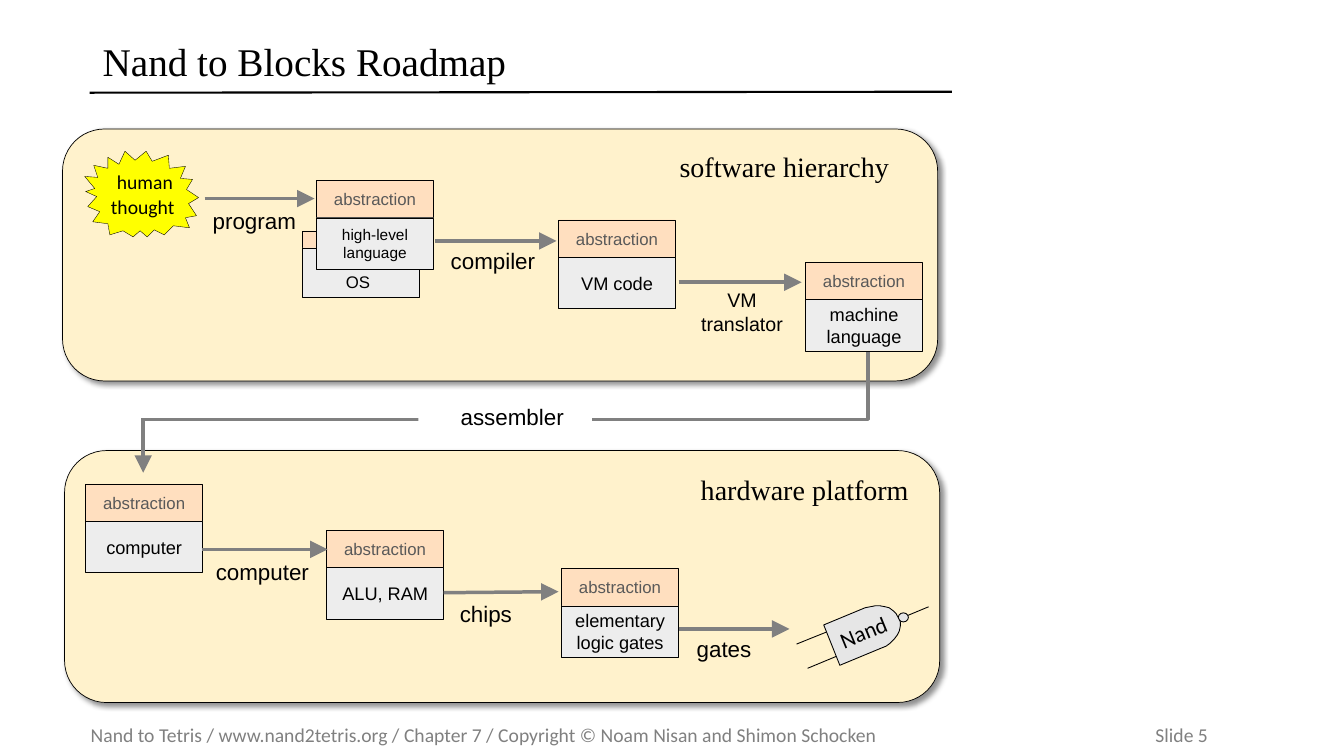
from dataclasses import dataclass

from lxml import etree
from pptx import Presentation
from pptx.dml.color import RGBColor
from pptx.enum.shapes import MSO_CONNECTOR, MSO_SHAPE
from pptx.enum.text import MSO_ANCHOR, PP_ALIGN
from pptx.oxml import parse_xml
from pptx.oxml.ns import nsdecls, qn
from pptx.util import Inches, Pt

RECTANGLE = MSO_SHAPE.RECTANGLE
ROUNDED = MSO_SHAPE.ROUNDED_RECTANGLE
OVAL = MSO_SHAPE.OVAL
STRAIGHT = MSO_CONNECTOR.STRAIGHT
LEFT, CENTER = PP_ALIGN.LEFT, PP_ALIGN.CENTER
TOP, MIDDLE = MSO_ANCHOR.TOP, MSO_ANCHOR.MIDDLE
BLACK, GRAY, PEACH, SILVER = "000000", "808080", "FFDFBF", "EDEDED"
GATE_FILL, GATE_LINE, GATE_ANGLE = "E6E6E6", 0.63, 337.6
SERIF, SANS, HUMANIST = "Times New Roman", "Arial", "Calibri"
CARD_WIDTH, HEADER_HEIGHT, BODY_HEIGHT = 1.16, 0.37, 0.51
NO_INSETS = (0, 0, 0, 0)
BODY_INSETS = (0, 0.05, 0, 0.05)
HEADER_INSETS = (0.1, 0.05, 0.1, 0.05)

Point = tuple[float, float]
Area = tuple[float, float, float, float]


@dataclass
class Style:
    size: float
    font: str = SANS
    color: str = BLACK
    align: PP_ALIGN = LEFT
    anchor: MSO_ANCHOR = TOP
    insets: Area = NO_INSETS
    wrap: bool = True
    spacing: float = 1.0


@dataclass
class Label:
    text: str
    area: Area
    style: Style


@dataclass
class Card:
    left: float
    top: float
    text: str
    size: float = 13


@dataclass
class Stroke:
    start: Point
    end: Point
    color: str = GRAY
    width: float = 2.5
    arrow: bool = True


STEP = Style(16)
HEADING = Style(20, SERIF, wrap=False)
THOUGHT = Style(14, HUMANIST, wrap=False)
HEADER = Style(12, SANS, "595959", CENTER, MIDDLE, HEADER_INSETS)

PANELS = [(0.64, 4.47, 8.68, 2.5), (0.62, 1.28, 8.68, 2.5)]
CARDS = [
    Card(5.54, 2.18, "VM code"),
    Card(7.99, 2.6, "machine language"),
    Card(0.85, 4.8, "computer"),
    Card(3.24, 5.26, "ALU, RAM"),
    Card(5.57, 5.64, "elementary logic gates"),
    Card(3.14, 1.79, "high-level\vlanguage", 11),
]
ARROWS = [
    Stroke((6.73, 2.8), (7.95, 2.8)),
    Stroke((4.31, 2.39), (5.52, 2.39)),
    Stroke((2.03, 1.97), (3.12, 1.97)),
    Stroke((4.4, 5.88), (5.54, 5.87)),
    Stroke((6.73, 6.24), (7.83, 6.24)),
    Stroke((2, 5.45), (3.25, 5.45)),
    Stroke((1.42, 4.15), (1.42, 4.69)),
]
GATE_WIRES = [
    Stroke(start, end, BLACK, GATE_LINE, False)
    for start, end in [
        ((7.9, 6.39), (8.67, 6.08)),
        ((8.01, 6.63), (8.78, 6.31)),
        ((9.21, 6.02), (8.44, 6.34)),
    ]
]
LABELS = [
    Label("Nand to Blocks Roadmap", (0.92, 0.32, 8.53, 0.63),
          Style(28, SERIF, anchor=MIDDLE, insets=HEADER_INSETS, spacing=0.9)),
    Label("hardware platform", (6.95, 4.69, 2.08, 0.34), HEADING),
    Label("software hierarchy", (6.74, 1.48, 2.09, 0.34), HEADING),
    Label("human", (1.16, 1.69, 0.56, 0.24), THOUGHT),
    Label("thought", (1.1, 1.93, 0.64, 0.24), THOUGHT),
    Label("program", (2.11, 2.06, 0.88, 0.27), STEP),
    Label("compiler", (4.47, 2.45, 0.88, 0.27), STEP),
    Label("computer", (2.14, 5.54, 1.02, 0.27), STEP),
    Label("chips", (4.56, 5.95, 0.88, 0.27), STEP),
    Label("gates", (6.91, 6.3, 0.88, 0.27), STEP),
    Label("VM translator", (6.84, 2.86, 1.04, 0.47), Style(14, align=CENTER)),
]
BURST = [
    (0.94, 1.87), (0.85, 1.9), (0.96, 1.95), (0.87, 2.05), (0.99, 2.1), (0.92, 2.2),
    (1.07, 2.22), (1.09, 2.33), (1.22, 2.29), (1.32, 2.35), (1.39, 2.29), (1.46, 2.35),
    (1.53, 2.28), (1.63, 2.33), (1.72, 2.24), (1.88, 2.26), (1.84, 2.16), (1.95, 2.14),
    (1.87, 2.02), (1.97, 1.96), (1.85, 1.88), (1.91, 1.78), (1.79, 1.77), (1.84, 1.65),
    (1.68, 1.67), (1.67, 1.54), (1.51, 1.6), (1.45, 1.5), (1.34, 1.59), (1.24, 1.5),
    (1.18, 1.63), (1.07, 1.56), (1.07, 1.67), (0.93, 1.64), (0.97, 1.76), (0.84, 1.75),
]
GATE = [
    (8.74, 6.43), (8.33, 6.6), (8.17, 6.2), (8.58, 6.03), (8.63, 6.02), (8.68, 6.01),
    (8.73, 6.01), (8.78, 6.02), (8.82, 6.03), (8.86, 6.06), (8.89, 6.09), (8.91, 6.13),
    (8.93, 6.17), (8.93, 6.21), (8.92, 6.26), (8.9, 6.3), (8.87, 6.34), (8.83, 6.38),
    (8.79, 6.41),
]
ASSEMBLER_PATH = [(1.42, 4.65), (1.42, 4.16), (8.61, 4.16), (8.61, 3.49)]


def rgb(value: str) -> RGBColor:
    return RGBColor.from_string(value)


def paint(shape, fill: str | None, line: str | None, width: float = 0.25) -> None:
    shape.shadow.inherit = False
    if fill:
        shape.fill.solid()
        shape.fill.fore_color.rgb = rgb(fill)
    else:
        shape.fill.background()
    if line:
        shape.line.color.rgb = rgb(line)
        shape.line.width = Pt(width)
    else:
        shape.line.fill.background()


def write(shape, text: str, style: Style) -> None:
    frame = shape.text_frame
    frame.margin_left, frame.margin_top, frame.margin_right, frame.margin_bottom = map(
        Inches, style.insets)
    frame.word_wrap = style.wrap
    frame.vertical_anchor = style.anchor
    frame.text = text
    for paragraph in frame.paragraphs:
        paragraph.alignment = style.align
        paragraph.line_spacing = style.spacing
        for span in paragraph.runs:
            span.font.size = Pt(style.size)
            span.font.name = style.font
            span.font.color.rgb = rgb(style.color)


def add_box(page, area: Area, fill: str | None, line: str | None = BLACK,
            width: float = 0.25, kind: MSO_SHAPE = RECTANGLE):
    box = page.shapes.add_shape(kind, *map(Inches, area))
    paint(box, fill, line, width)
    return box


def add_label(page, label: Label):
    box = page.shapes.add_textbox(*map(Inches, label.area))
    write(box, label.text, label.style)
    return box


def add_panel(page, area: Area) -> None:
    panel = add_box(page, area, "FFF2CC", BLACK, 0.5, ROUNDED)
    effects = panel._element.spPr.find(qn("a:effectLst"))
    effects.append(parse_xml(
        f'<a:outerShdw {nsdecls("a")} blurRad="{Pt(4)}" dist="{Pt(3)}" dir="2700000" '
        'algn="tl" rotWithShape="0"><a:srgbClr val="000000"><a:alpha val="43000"/>'
        '</a:srgbClr></a:outerShdw>'))


def add_card(page, card: Card) -> None:
    header = add_box(page, (card.left, card.top, CARD_WIDTH, HEADER_HEIGHT), PEACH)
    write(header, "abstraction", HEADER)
    body = add_box(
        page, (card.left, card.top + HEADER_HEIGHT, CARD_WIDTH, BODY_HEIGHT), SILVER)
    write(body, card.text,
          Style(card.size, align=CENTER, anchor=MIDDLE, insets=BODY_INSETS))


def add_stroke(page, stroke: Stroke) -> None:
    connector = page.shapes.add_connector(
        STRAIGHT, *map(Inches, stroke.start + stroke.end))
    connector.line.color.rgb = rgb(stroke.color)
    connector.line.width = Pt(stroke.width)
    if stroke.arrow:
        etree.SubElement(connector.line._get_or_add_ln(), qn("a:tailEnd"),
                         type="triangle", w="lg", len="lg")
    etree.SubElement(connector._element.spPr, qn("a:effectLst"))


def add_outline(page, points: list[Point], fill: str | None, line: str,
                width: float) -> None:
    corners = [(Inches(x), Inches(y)) for x, y in points]
    builder = page.shapes.build_freeform(*corners[0])
    builder.add_line_segments(corners[1:], close=fill is not None)
    paint(builder.convert_to_shape(), fill, line, width)


def add_footer(page) -> None:
    text = ("Nand to Tetris / www.nand2tetris.org / Chapter 7 / "
            "Copyright © Noam Nisan and Shimon Schocken\tSlide 5")
    box = add_label(page, Label(text, (0.9, 7.12, 12.25, 0.34), Style(
        14, HUMANIST, GRAY, anchor=MIDDLE, insets=BODY_INSETS)))
    properties = box.text_frame.paragraphs[0]._p.get_or_add_pPr()
    tabs = etree.SubElement(properties, qn("a:tabLst"))
    etree.SubElement(tabs, qn("a:tab"), pos=str(Inches(10.56)), algn="l")


def main() -> None:
    deck = Presentation()
    deck.slide_width, deck.slide_height = Inches(13.33), Inches(7.5)
    page = deck.slides.add_slide(deck.slide_layouts[6])
    add_footer(page)
    add_stroke(page, Stroke((0.89, 0.92), (9.44, 0.91), BLACK, 1.5, False))
    for area in PANELS:
        add_panel(page, area)
    for wire in GATE_WIRES:
        add_stroke(page, wire)
    add_box(page, (8.91, 6.08, 0.1, 0.09), GATE_FILL, BLACK, GATE_LINE, OVAL)
    add_outline(page, GATE, GATE_FILL, BLACK, GATE_LINE)
    gate_name = add_box(page, (8.3, 6.13, 0.52, 0.17), GATE_FILL, None)
    gate_name.rotation = GATE_ANGLE
    write(gate_name, "Nand", Style(16, HUMANIST))
    add_outline(page, BURST, "FFFF00", BLACK, 0.25)
    add_box(page, (3, 2.29, CARD_WIDTH, 0.18), PEACH)
    add_box(page, (3, 2.46, CARD_WIDTH, 0.49), SILVER)
    add_label(page, Label("OS", (3.43, 2.7, 0.45, 0.2), Style(12)))
    for card in CARDS:
        add_card(page, card)
    for arrow in ARROWS:
        add_stroke(page, arrow)
    add_outline(page, ASSEMBLER_PATH, None, GRAY, 2.5)
    assembler = add_box(page, (4.15, 4, 1.72, 0.27), "FFFFFF", None)
    write(assembler, "assembler", Style(16, align=CENTER, insets=(0.14, 0, 0, 0)))
    for label in LABELS:
        add_label(page, label)
    deck.save("out.pptx")


if __name__ == "__main__":
    main()
